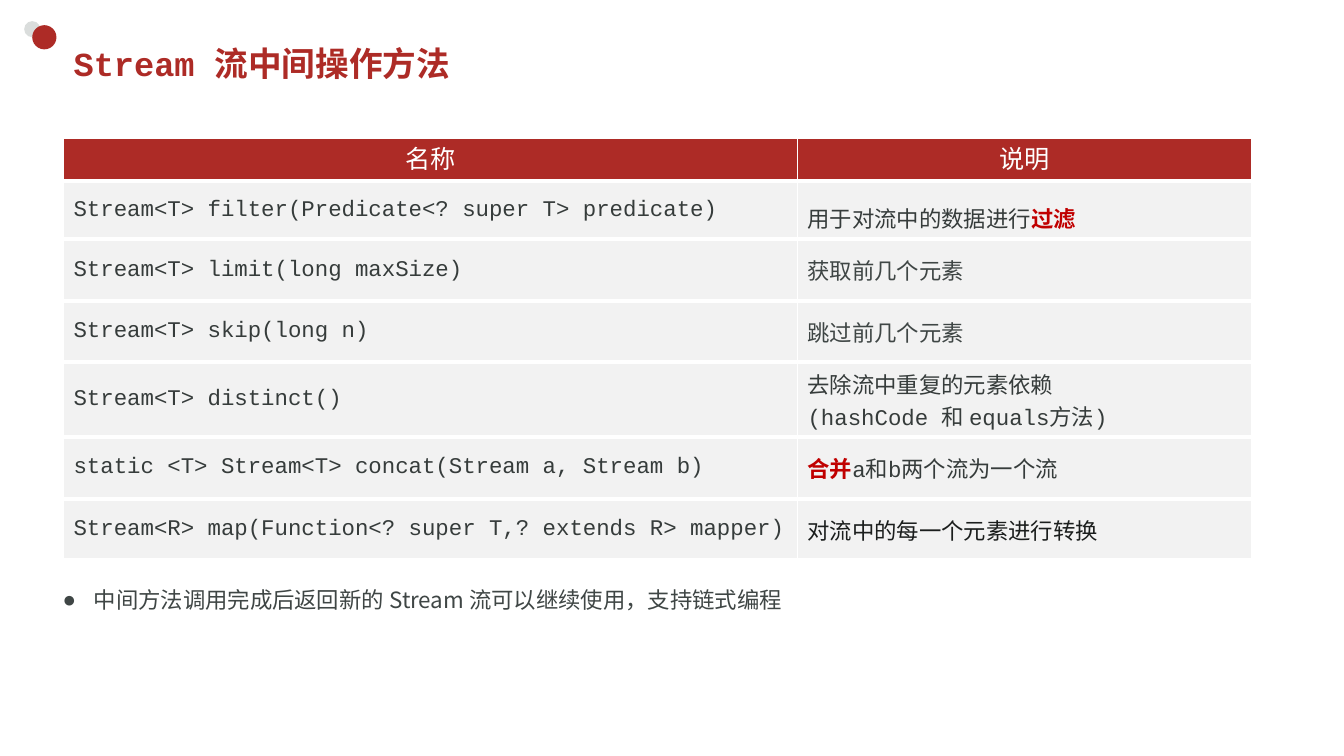
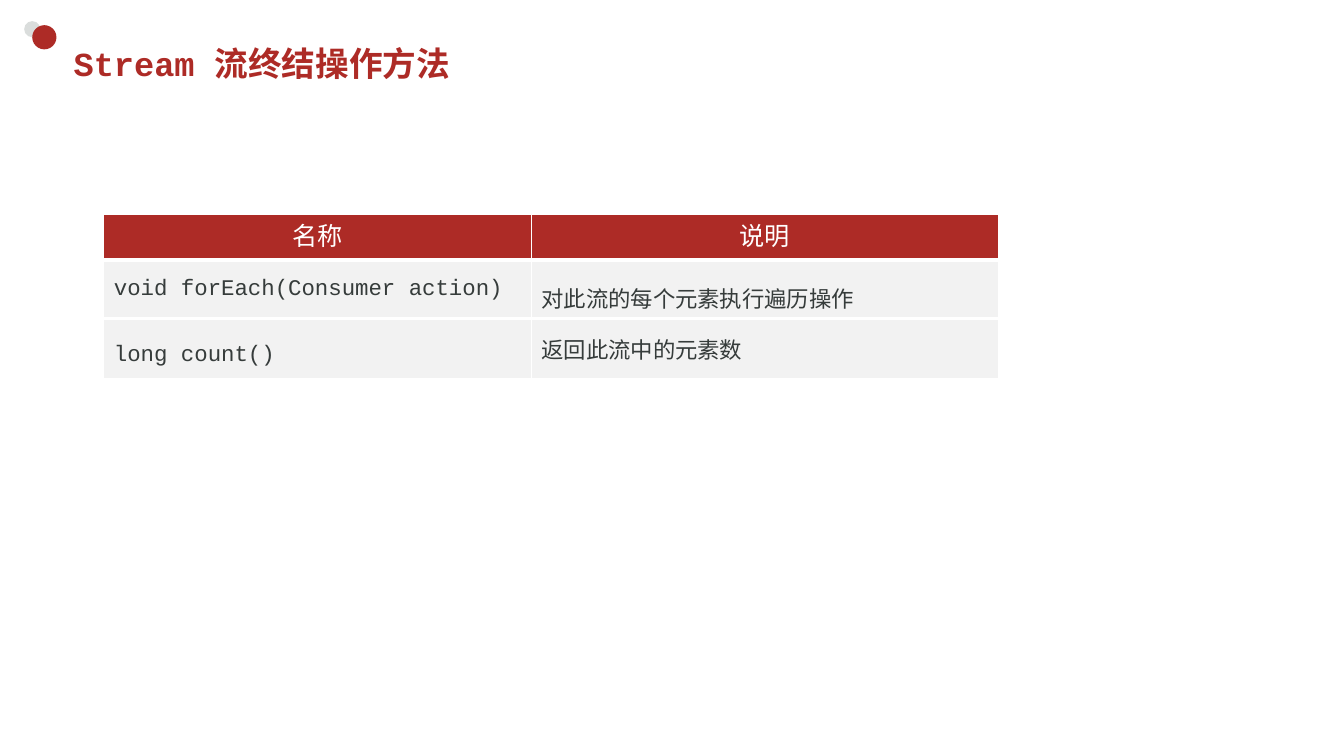
import dataclasses

import lxml.etree
import pptx
import pptx.dml.color
import pptx.enum.shapes
import pptx.enum.text
import pptx.oxml.ns
import pptx.util

Inches = pptx.util.Inches
Pt = pptx.util.Pt
Color = pptx.dml.color.RGBColor
Align = pptx.enum.text.PP_ALIGN
Anchor = pptx.enum.text.MSO_ANCHOR
qn = pptx.oxml.ns.qn


@dataclasses.dataclass(frozen=True)
class Theme:
    """Colours, fonts and type sizes shared by the slides."""
    red: Color = Color.from_string("AD2B26")
    pale: Color = Color.from_string("DADDDC")
    band: Color = Color.from_string("F2F2F2")
    white: Color = Color.from_string("FFFFFF")
    ink: Color = Color.from_string("363C3B")
    soft: Color = Color.from_string("3F4645")
    dark: Color = Color.from_string("1B1E1D")
    accent: Color = Color.from_string("C00000")
    code: str = "Courier New"
    heading: str = "Arial"
    chinese: str = "Noto Sans CJK SC"
    list_font: str = "Noto Sans CJK JP"
    title_size: int = 24
    header_size: int = 18
    body_size: int = 16


THEME = Theme()


@dataclasses.dataclass
class Cell:
    """A table cell whose optional key word stands before or after its text."""
    text: str
    before: str = ""
    after: str = ""
    color: Color = THEME.ink
    font: str = THEME.code
    spacing: float = 1.0


def write(text, *, paragraph, size=THEME.body_size, font=THEME.code,
          color=THEME.ink, bold=False, align=Align.LEFT, spacing=1.0):
    """Add one formatted run to a paragraph."""
    paragraph.alignment = align
    paragraph.line_spacing = spacing
    paragraph.space_before = paragraph.space_after = Pt(0)
    run = paragraph.add_run()
    run.text = text
    run.font.size = Pt(size)
    run.font.name = font
    run.font.bold = bold
    run.font.color.rgb = color
    east_asian = THEME.list_font if font == THEME.list_font else THEME.chinese
    run.font._element.get_or_add_latin().addnext(
        run.font._element.makeelement(qn("a:ea"), {"typeface": east_asian}))


class Deck:
    """Draws the elements of the current slide in the shared style."""

    def __init__(self, theme):
        """Start a widescreen presentation."""
        self.theme = theme
        self.presentation = pptx.Presentation()
        self.presentation.slide_width = Inches(13.33)
        self.presentation.slide_height = Inches(7.5)
        self.slide = None

    def add_slide(self, title, layout):
        """Open a slide with the corner dots and a title."""
        self.slide = self.presentation.slides.add_slide(
            self.presentation.slide_layouts.get_by_name(layout))
        self.dot(0.24, 0.21, 0.16, self.theme.pale)
        self.dot(0.32, 0.25, 0.24, self.theme.red)
        frame = self.place(self.slide.shapes.title, 0.63, 0.37, 11.74, 0.52)
        frame.vertical_anchor = Anchor.MIDDLE
        write(title, paragraph=frame.paragraphs[0], size=self.theme.title_size,
              color=self.theme.red, bold=True)

    def dot(self, left, top, diameter, color):
        """Draw a plain filled circle."""
        shape = self.slide.shapes.add_shape(
            pptx.enum.shapes.MSO_SHAPE.OVAL, Inches(left), Inches(top),
            Inches(diameter), Inches(diameter))
        shape.shadow.inherit = False
        shape.fill.solid()
        shape.fill.fore_color.rgb = color
        shape.line.fill.background()

    def place(self, placeholder, left, top, width, height):
        """Move a placeholder and return its text frame."""
        placeholder.left, placeholder.top = Inches(left), Inches(top)
        placeholder.width, placeholder.height = Inches(width), Inches(height)
        frame = placeholder.text_frame
        frame.word_wrap = True
        frame.auto_size = pptx.enum.text.MSO_AUTO_SIZE.NONE
        return frame

    def bullet(self, text, left, top, width, height):
        """Write a bulleted line in the body placeholder."""
        frame = self.place(self.slide.placeholders[1], left, top, width, height)
        frame.vertical_anchor = Anchor.TOP
        paragraph = frame.paragraphs[0]
        properties = paragraph._p.get_or_add_pPr()
        properties.set("marL", str(Inches(0.31)))
        properties.set("indent", str(-Inches(0.31)))
        lxml.etree.SubElement(properties, qn("a:buFont"),
                              typeface=self.theme.heading)
        lxml.etree.SubElement(properties, qn("a:buChar"), char="●")
        write(text, paragraph=paragraph, font=self.theme.list_font,
              color=self.theme.soft, spacing=2.0)

    def style_cell(self, cell, fill):
        """Give a cell white borders, a fill and a middle anchor."""
        properties = cell._tc.get_or_add_tcPr()
        for side, width in (("L", 1), ("R", 1), ("T", 3), ("B", 3)):
            line = lxml.etree.SubElement(properties, qn(f"a:ln{side}"),
                                         w=str(Pt(width)))
            solid = lxml.etree.SubElement(line, qn("a:solidFill"))
            lxml.etree.SubElement(solid, qn("a:srgbClr"),
                                  val=str(self.theme.white))
        cell.fill.solid()
        cell.fill.fore_color.rgb = fill
        cell.vertical_anchor = Anchor.MIDDLE

    def fill_cell(self, cell, content):
        """Write each line of a content cell with its key words."""
        frame = cell.text_frame
        for index, line in enumerate(content.text.split("\n")):
            paragraph = frame.add_paragraph() if index else frame.paragraphs[0]
            for text, key in ((content.before, True), (line, False),
                              (content.after, True)):
                if text:
                    write(text, paragraph=paragraph, font=content.font,
                          color=self.theme.accent if key else content.color,
                          bold=key, spacing=content.spacing)

    def method_table(self, left, top, widths, heights, rows):
        """Draw a table of methods under the shared header."""
        table = self.slide.shapes.add_table(
            len(heights), len(widths), Inches(left), Inches(top),
            Inches(sum(widths)), Inches(sum(heights))).table
        for column, width in zip(table.columns, widths):
            column.width = Inches(width)
        for row, height in zip(table.rows, heights):
            row.height = Inches(height)
        for cell, text in zip(table.rows[0].cells, ("名称", "说明")):
            self.style_cell(cell, self.theme.red)
            write(text, paragraph=cell.text_frame.paragraphs[0],
                  size=self.theme.header_size, font=self.theme.heading,
                  color=self.theme.white, align=Align.CENTER, spacing=Pt(24))
        for index, contents in enumerate(rows, start=1):
            for cell, content in zip(table.rows[index].cells, contents):
                self.style_cell(cell, self.theme.band)
                self.fill_cell(cell, content)


def main():
    """Build both slides and save them."""
    deck = Deck(THEME)
    deck.add_slide("Stream 流中间操作方法", "Title and Content")
    deck.method_table(0.63, 1.36, (7.28, 4.5), (0.3, 0.5) + (0.61,) * 5, (
        (Cell("Stream<T> filter(Predicate<? super T> predicate)"),
         Cell("用于对流中的数据进行", after="过滤", spacing=1.5)),
        (Cell("Stream<T> limit(long maxSize)"),
         Cell("获取前几个元素", color=THEME.soft)),
        (Cell("Stream<T> skip(long n)"),
         Cell("跳过前几个元素", color=THEME.soft)),
        (Cell("Stream<T> distinct()"),
         Cell("去除流中重复的元素依赖\n(hashCode 和 equals方法)")),
        (Cell("static <T> Stream<T> concat(Stream a, Stream b)"),
         Cell("a和b两个流为一个流", before="合并")),
        (Cell("Stream<R> map(Function<? super T,? extends R> mapper)"),
         Cell("对流中的每一个元素进行转换", color=THEME.dark)),
    ))
    deck.bullet("中间方法调用完成后返回新的 Stream 流可以继续使用，支持链式编程",
                0.52, 5.5, 7.36, 1.17)

    deck.add_slide("Stream 流终结操作方法", "Title Only")
    deck.method_table(1.03, 2.11, (4.24, 4.63), (0.47, 0.5, 0.61), (
        (Cell("void forEach(Consumer action)"),
         Cell("对此流的每个元素执行遍历操作", font=THEME.chinese, spacing=1.5)),
        (Cell("long count()", spacing=1.5),
         Cell("返回此流中的元素数", font=THEME.chinese)),
    ))
    deck.presentation.save("out.pptx")


if __name__ == "__main__":
    main()
